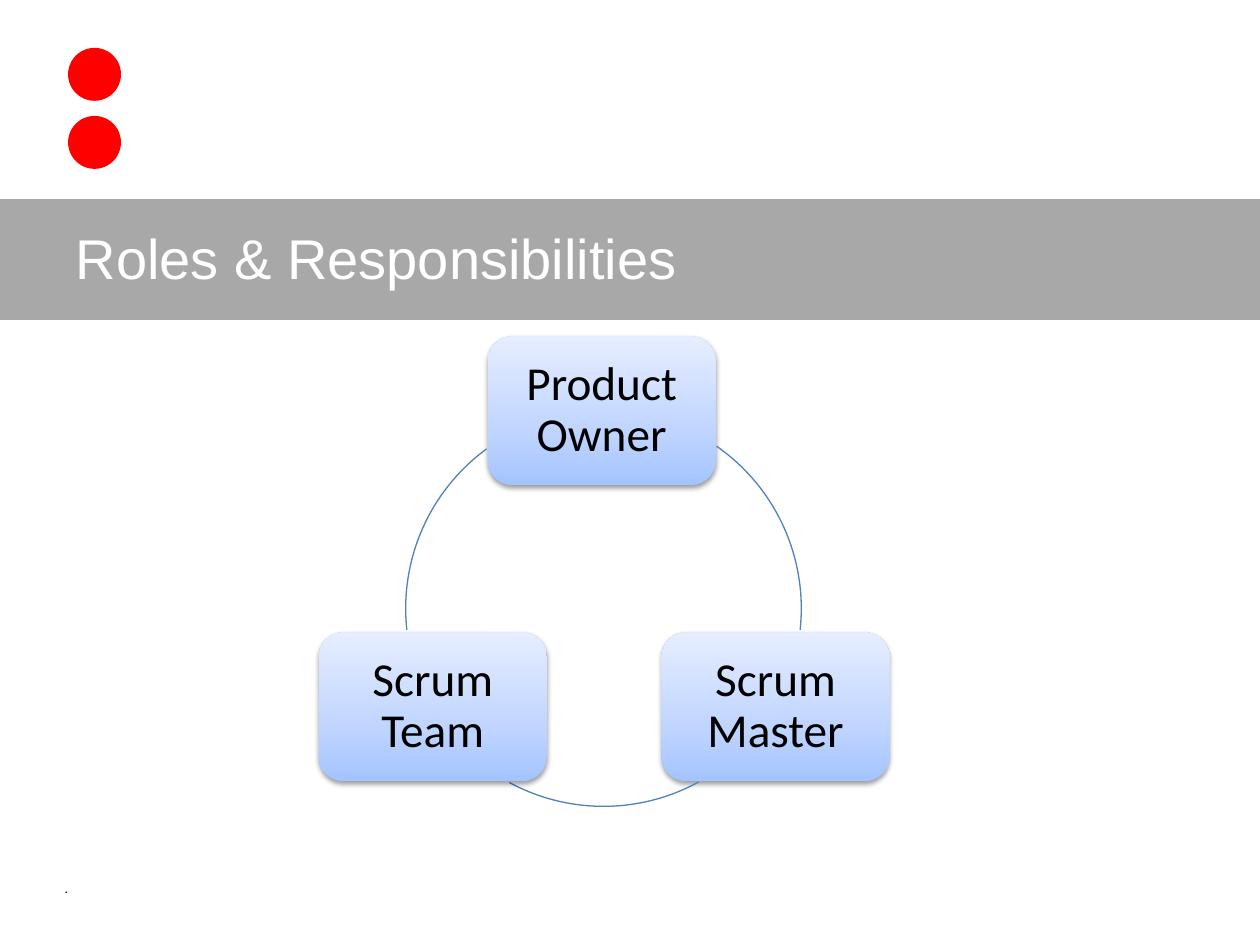
from lxml import etree
from pptx import Presentation
from pptx.dml.color import RGBColor
from pptx.enum import shapes, text
from pptx.oxml import parse_xml
from pptx.oxml.ns import nsdecls, qn
from pptx.util import Inches, Pt

HEADING = "Roles & Responsibilities"
FOOTER = "."
ROLES = [("Product Owner", 3.87, 2.67), ("Scrum Master", 5.25, 5.02), ("Scrum Team", 2.53, 5.02)]
ARCS = [(304.9, 6.2), (61.3, 118.4), (173.8, 233.8)]
DOT_TOPS = [0.38, 0.92]
RING = (3.22, 3.26, 3.14, 3.14)
CARD_SIZE = (1.81, 1.18)
THEME = {
    "white": "FFFFFF", "black": "000000", "dot": "FF0000", "ring": "4F81BD",
    "card": [(0, "A4C4FF"), (35, "BFD4FF"), (100, "E6EEFF")],
    "heading": ("Arial", 32), "role": ("Calibri", 27), "footer": ("Cabin", 9),
}


def color(name):
    return RGBColor.from_string(THEME[name])


def add_part(slide, kind, box, fill=None):
    part = slide.shapes.add_shape(kind, *map(Inches, box))
    part.shadow.inherit = False
    part.line.fill.background()
    if fill:
        part.fill.solid()
        part.fill.fore_color.rgb = color(fill)
    else:
        part.fill.background()
    return part


def write(frame, words, style, ink, align, anchor):
    frame.text = words
    frame.word_wrap = True
    frame.vertical_anchor = anchor
    line = frame.paragraphs[0]
    line.alignment = align
    font = line.runs[0].font
    font.name, size = THEME[style]
    font.size = Pt(size)
    font.color.rgb = color(ink)
    return line


def add_backdrop(slide):
    corner = add_part(slide, shapes.MSO_SHAPE.RECTANGLE, (8.83, 0.67, 0.92, 1.5), "white")
    corner.line.color.rgb = color("white")
    corner.line.width = Pt(2)
    band = add_part(slide, shapes.MSO_SHAPE.RECTANGLE, (0, 1.58, 10, 0.96), "black")
    tint = band.element.spPr.find(qn("a:solidFill"))[0]
    etree.SubElement(tint, qn("a:alpha"), val="34000")
    for top in DOT_TOPS:
        add_part(slide, shapes.MSO_SHAPE.OVAL, (0.54, top, 0.42, 0.42), "dot")


def add_heading(slide):
    heading = slide.shapes.title
    heading.left, heading.top, heading.width, heading.height = map(Inches, (0.5, 1.58, 8.92, 0.92))
    write(heading.text_frame, HEADING, "heading", "white", text.PP_ALIGN.LEFT, text.MSO_ANCHOR.MIDDLE)
    heading.text_frame.auto_size = text.MSO_AUTO_SIZE.NONE
    heading.element.getparent().append(heading.element)


def add_role(slide, name, left, top):
    card = add_part(slide, shapes.MSO_SHAPE.ROUNDED_RECTANGLE, (left, top, *CARD_SIZE))
    stops = "".join(f'<a:gs pos="{pos * 1000}"><a:srgbClr val="{tone}"/></a:gs>' for pos, tone in THEME["card"])
    gradient = parse_xml(f'<a:gradFill {nsdecls("a")} rotWithShape="1"><a:gsLst>{stops}</a:gsLst>'
                         '<a:lin ang="16200000" scaled="0"/></a:gradFill>')
    properties = card.element.spPr
    properties.replace(properties.find(qn("a:noFill")), gradient)
    properties.find(qn("a:effectLst")).append(parse_xml(
        f'<a:outerShdw {nsdecls("a")} blurRad="{Pt(3.1)}" dist="{Pt(1.6)}" dir="5400000" rotWithShape="0">'
        f'<a:srgbClr val="{THEME["black"]}"><a:alpha val="38000"/></a:srgbClr></a:outerShdw>'))
    frame = card.text_frame
    frame.margin_left = frame.margin_right = frame.margin_top = frame.margin_bottom = Inches(0.11)
    label = write(frame, name, "role", "black", text.PP_ALIGN.CENTER, text.MSO_ANCHOR.MIDDLE)
    label.line_spacing = 0.9


def add_arc(slide, start, end):
    arc = add_part(slide, shapes.MSO_SHAPE.ARC, RING)
    arc.line.color.rgb = color("ring")
    arc.line.width = Pt(0.75)
    for index, degrees in enumerate((start, end)):
        arc.adjustments[index] = degrees * 0.6


def main():
    """Build the Scrum roles slide."""
    deck = Presentation()
    deck.slide_width, deck.slide_height = Inches(10), Inches(7.5)
    slide = deck.slides.add_slide(deck.slide_layouts[5])
    footer = slide.shapes.add_textbox(*map(Inches, (0.42, 6.92, 8.25, 0.25)))
    note = write(footer.text_frame, FOOTER, "footer", "black", text.PP_ALIGN.LEFT, text.MSO_ANCHOR.TOP)
    note.runs[0].font.italic = True
    add_backdrop(slide)
    add_heading(slide)
    for role, arc in zip(ROLES, ARCS):
        add_role(slide, *role)
        add_arc(slide, *arc)
    deck.save("out.pptx")


if __name__ == "__main__":
    main()
